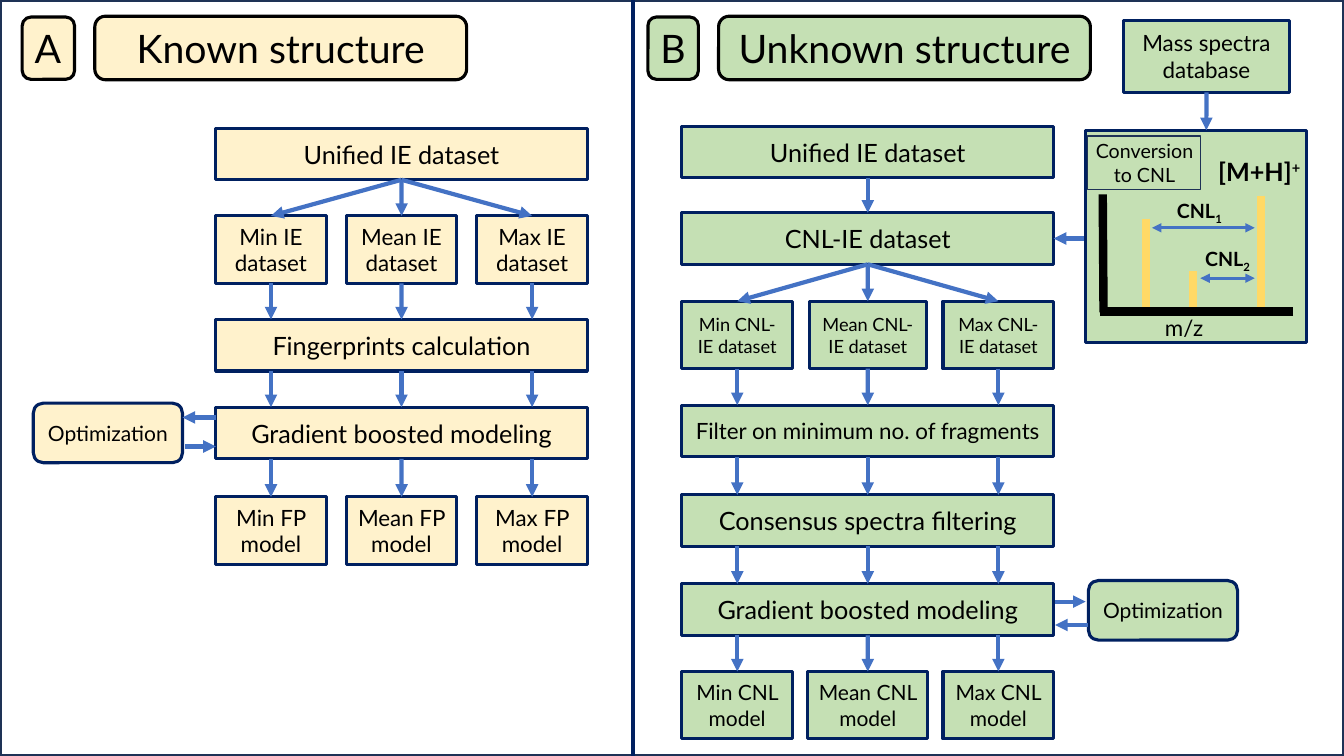
from lxml import etree
from pptx import Presentation
from pptx import util as u
from pptx.dml.color import RGBColor
from pptx.enum import shapes, text
from pptx.oxml.ns import qn

CREAM, GREEN, NAVY, BLUE = "FFF2CC", "C5E0B4", "002060", "4472C4"
BLACK, WHITE, FRAME, YELLOW = "000000", "FFFFFF", "1E3256", "FFD966"
RECT, ROUND = shapes.MSO_SHAPE.RECTANGLE, shapes.MSO_SHAPE.ROUNDED_RECTANGLE
MIDDLE, TOP = text.MSO_ANCHOR.MIDDLE, text.MSO_ANCHOR.TOP
CENTER, LEFT = text.PP_ALIGN.CENTER, text.PP_ALIGN.LEFT
GROW, FIXED = text.MSO_AUTO_SIZE.SHAPE_TO_FIT_TEXT, text.MSO_AUTO_SIZE.NONE
STEP, BAR_W, BAR_H, SMALL_W, SMALL_H = 3.29, 9.37, 1.3, 2.79, 1.7


def rgb(value):
    """Turn a hex string into a colour."""
    return RGBColor.from_string(value)


def apply(obj, **values):
    """Set each named attribute on an object."""
    for name, value in values.items():
        setattr(obj, name, value)


def write(sp, runs, size, align=CENTER, bold=False, **frame):
    """Fill a shape with one paragraph of (text, baseline) runs."""
    tf = sp.text_frame
    apply(tf, **frame)
    p = tf.paragraphs[0]
    p.alignment = align
    for words, baseline in runs:
        r = p.add_run()
        r.text = words
        apply(r.font, name="Lato", size=u.Pt(size), bold=bold)
        r.font.color.rgb = rgb(BLACK)
        if baseline:
            r._r.get_or_add_rPr().set("baseline", str(baseline * 1000))


def shape(sps, kind, box, fill, color=NAVY, width=2.25):
    """Add a flat outlined shape."""
    sp = sps.add_shape(kind, *map(u.Cm, box))
    sp.shadow.inherit = False
    if fill:
        sp.fill.solid()
        sp.fill.fore_color.rgb = rgb(fill)
    else:
        sp.fill.background()
    sp.line.color.rgb = rgb(color)
    sp.line.width = u.Pt(width)
    return sp


def node(sps, box, label, fill, size, kind=RECT):
    """Add a flowchart box with a centred label."""
    sp = shape(sps, kind, box, fill)
    write(sp, [(label, 0)], size, vertical_anchor=MIDDLE, word_wrap=True)
    return sp


def heading(sps, box, label, fill, align=CENTER):
    """Add a rounded panel heading."""
    sp = shape(sps, ROUND, box, fill, BLACK)
    write(sp, [(label, 0)], 28, align, vertical_anchor=TOP, word_wrap=True,
          auto_size=GROW)


def note(sps, box, runs, size, align=LEFT, bold=False, wrap=False):
    """Add a text box."""
    sp = sps.add_textbox(*map(u.Cm, box))
    write(sp, runs, size, align, bold, word_wrap=wrap, auto_size=GROW)


def line(sps, x1, y1, x2, y2, color=BLUE, width=3, ends=("tailEnd",)):
    """Add a straight line with arrowheads at the named ends."""
    c = sps.add_connector(shapes.MSO_CONNECTOR.STRAIGHT,
                          *map(u.Cm, (x1, y1, x2, y2)))
    c.line.color.rgb = rgb(color)
    c.line.width = u.Pt(width)
    ln = c.line._get_or_add_ln()
    for end in ends:
        etree.SubElement(ln, qn("a:" + end)).set("type", "triangle")
    etree.SubElement(c._element.spPr, qn("a:effectLst"))
    return c


def center(sp):
    """Give the horizontal centre of a shape in centimetres."""
    return u.Emu(sp.left + sp.width // 2).cm


def drop(sps, upper, lower, x=None):
    """Draw an arrow down between two boxes, joined where it meets a centre."""
    x1 = center(upper) if x is None else x
    x2 = center(lower) if x is None else x
    c = line(sps, x1, u.Emu(upper.top + upper.height).cm, x2, u.Emu(lower.top).cm)
    if abs(x1 - center(upper)) < 0.03:
        c.begin_connect(upper, 2)
    if abs(x2 - center(lower)) < 0.03:
        c.end_connect(lower, 0)


def bar(sps, cx, top, label, fill, size=18):
    """Add a wide step of the workflow."""
    return node(sps, (cx - BAR_W / 2, top, BAR_W, BAR_H), label, fill, size)


def trio(sps, cx, top, ending, fill, size, mid_w=SMALL_W):
    """Add the Min, Mean and Max boxes of one row."""
    return [node(sps, (cx + i * STEP - w / 2, top, w, SMALL_H),
                 f"{name} {ending}", fill, size)
            for i, name, w in ((-1, "Min", SMALL_W), (0, "Mean", mid_w),
                               (1, "Max", SMALL_W))]


def fan(sps, upper, row):
    """Spread arrows from one bar to a row of boxes."""
    for sp in row:
        drop(sps, upper, sp)


def parallel(sps, cx, uppers, lowers):
    """Draw three vertical arrows between two levels."""
    for i, (a, b) in enumerate(zip(uppers, lowers)):
        drop(sps, a, b, cx + (i - 1) * STEP)


def known_panel(sps):
    """Build the workflow for known structures."""
    cx = 10.12
    heading(sps, (0.56, 0.43, 1.32, 1.57), "A", CREAM, LEFT)
    heading(sps, (2.39, 0.41, 9.37, 1.6), "Known structure", CREAM)
    unified = bar(sps, cx, 3.23, "Unified IE dataset", CREAM)
    sets = trio(sps, cx, 5.44, "IE dataset", CREAM, 16)
    prints = bar(sps, cx, 8.05, "Fingerprints calculation", CREAM)
    boosted = bar(sps, cx, 10.26, "Gradient boosted modeling", CREAM)
    models = trio(sps, cx, 12.52, "FP model", CREAM, 16)
    fan(sps, unified, sets)
    parallel(sps, cx, sets, [prints] * 3)
    parallel(sps, cx, [prints] * 3, [boosted] * 3)
    parallel(sps, cx, [boosted] * 3, models)
    node(sps, (0.84, 10.16, 3.76, 1.5), "Optimization", CREAM, 15, ROUND)
    line(sps, 5.44, 10.52, 4.6, 10.52)
    line(sps, 4.67, 11.25, 5.44, 11.25)


def spectrum(sps):
    """Build the spectrum sketch of the conversion to CNL."""
    g = sps.add_group_shape().shapes
    shape(g, RECT, (27.36, 3.28, 5.56, 5.36), GREEN)
    note(g, (27.36, 3.38, 2.97, 1.45), [("Conversion to CNL", 0)], 14, CENTER,
         wrap=True)
    line(g, 27.79, 4.9, 27.81, 7.87, BLACK, 6, ())
    for x, top, bottom in ((31.78, 4.93, 7.75), (30.07, 6.83, 7.82),
                           (28.88, 5.51, 7.82)):
        line(g, x, top, x, bottom, YELLOW, 6, ())
    line(g, 32.59, 7.85, 27.71, 7.85, BLACK, 6, ())
    for n, x, y, left, top in (("1", 29.03, 5.74, 29.41, 4.9),
                               ("2", 30.25, 7.01, 30.12, 6.1)):
        line(g, 31.62, y, x, y, BLUE, 2.25, ("headEnd", "tailEnd"))
        note(g, (left, top, 1.68, 0.86), [("CNL", 0), (n, -25)], 14, bold=True)
    note(g, (29.11, 7.8, 1.5, 0.94), [("m/z", 0)], 16)
    note(g, (30.45, 3.81, 2.64, 1.02), [("[M+H]", 0), ("+", 30)], 18, bold=True)
    shape(g, RECT, (27.41, 3.43, 2.84, 1.35), None, FRAME, 1)


def unknown_panel(sps):
    """Build the workflow for unknown structures."""
    cx = 21.87
    heading(sps, (16.33, 0.43, 1.27, 1.57), "B", GREEN, LEFT)
    heading(sps, (18.11, 0.41, 9.37, 1.6), "Unknown structure", GREEN)
    database = node(sps, (28.32, 0.51, 4.17, 1.82), "Mass spectra database",
                    GREEN, 16)
    unified = bar(sps, cx, 3.18, "Unified IE dataset", GREEN)
    cnl = bar(sps, cx, 5.36, "CNL-IE dataset", GREEN)
    sets = trio(sps, cx, 7.59, "CNL-IE dataset", GREEN, 13, 2.95)
    fragments = bar(sps, cx, 10.21, "Filter on minimum no. of fragments",
                    GREEN, 16)
    consensus = bar(sps, cx, 12.47, "Consensus spectra filtering", GREEN)
    boosted = bar(sps, cx, 14.71, "Gradient boosted modeling", GREEN)
    models = trio(sps, cx, 16.92, "CNL model", GREEN, 15, 3.02)
    drop(sps, unified, cnl)
    fan(sps, cnl, sets)
    levels = [sets, [fragments] * 3, [consensus] * 3, [boosted] * 3, models]
    for uppers, lowers in zip(levels, levels[1:]):
        parallel(sps, cx, uppers, lowers)
    spectrum(sps)
    line(sps, 30.4, 2.33, 30.4, 3.28).begin_connect(database, 2)
    line(sps, 27.31, 6.01, 26.56, 6.01).end_connect(cnl, 3)
    node(sps, (27.43, 14.63, 3.76, 1.5), "Optimization", GREEN, 15, ROUND)
    line(sps, 27.41, 15.75, 26.59, 15.75)
    line(sps, 26.59, 15.16, 27.36, 15.16)


def main():
    """Build the two-panel workflow slide."""
    prs = Presentation()
    apply(prs, slide_width=u.Cm(33.87), slide_height=u.Cm(19.05))
    s = prs.slides.add_slide(prs.slide_layouts[6])
    frame = shape(s.shapes, ROUND, (0, 0, 33.87, 19.05), WHITE, FRAME, 3)
    frame.adjustments[0] = 0
    known_panel(s.shapes)
    unknown_panel(s.shapes)
    line(s.shapes, 15.95, 0, 15.95, 19.05, NAVY, 3, ())
    prs.save("out.pptx")


if __name__ == "__main__":
    main()
